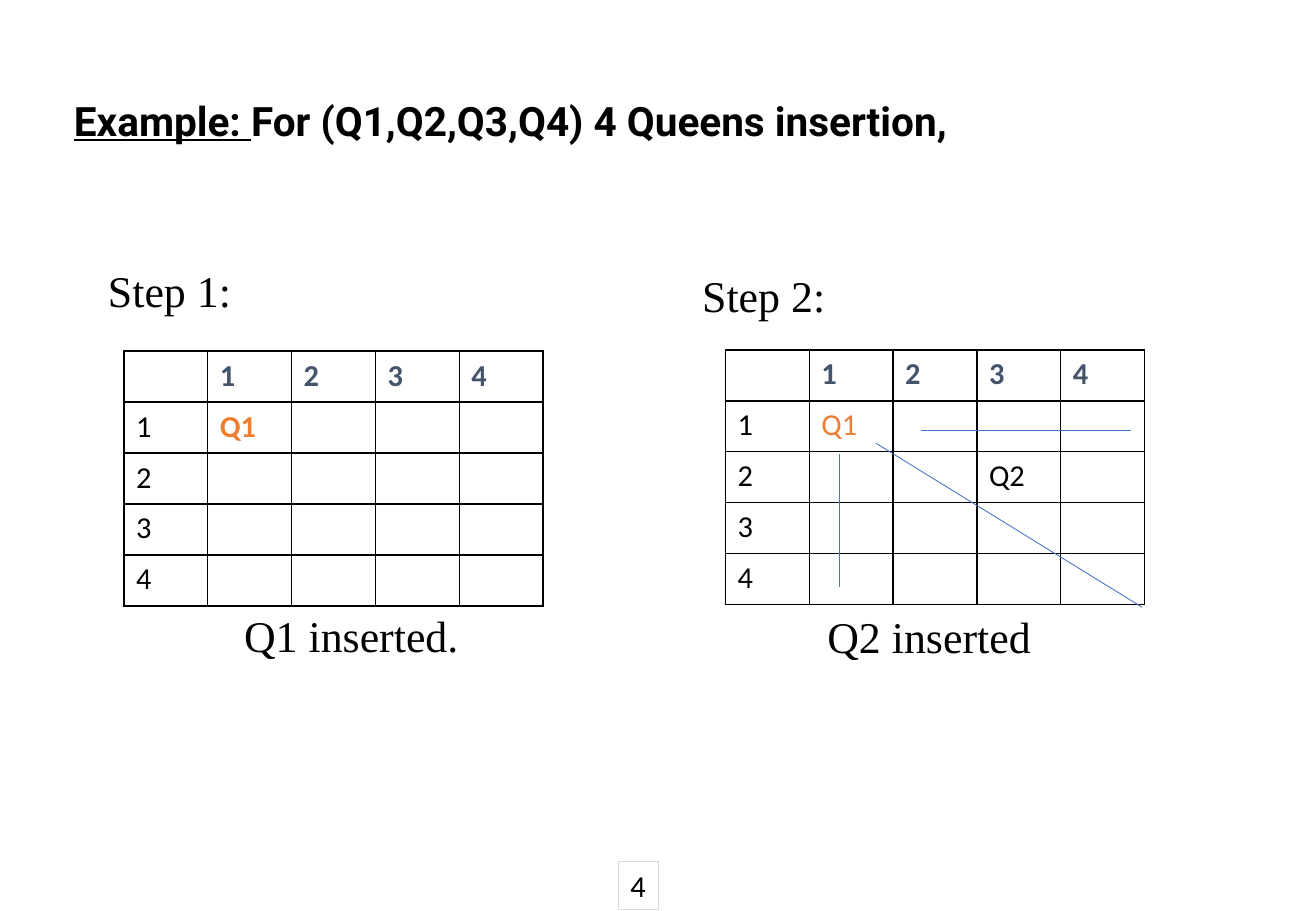
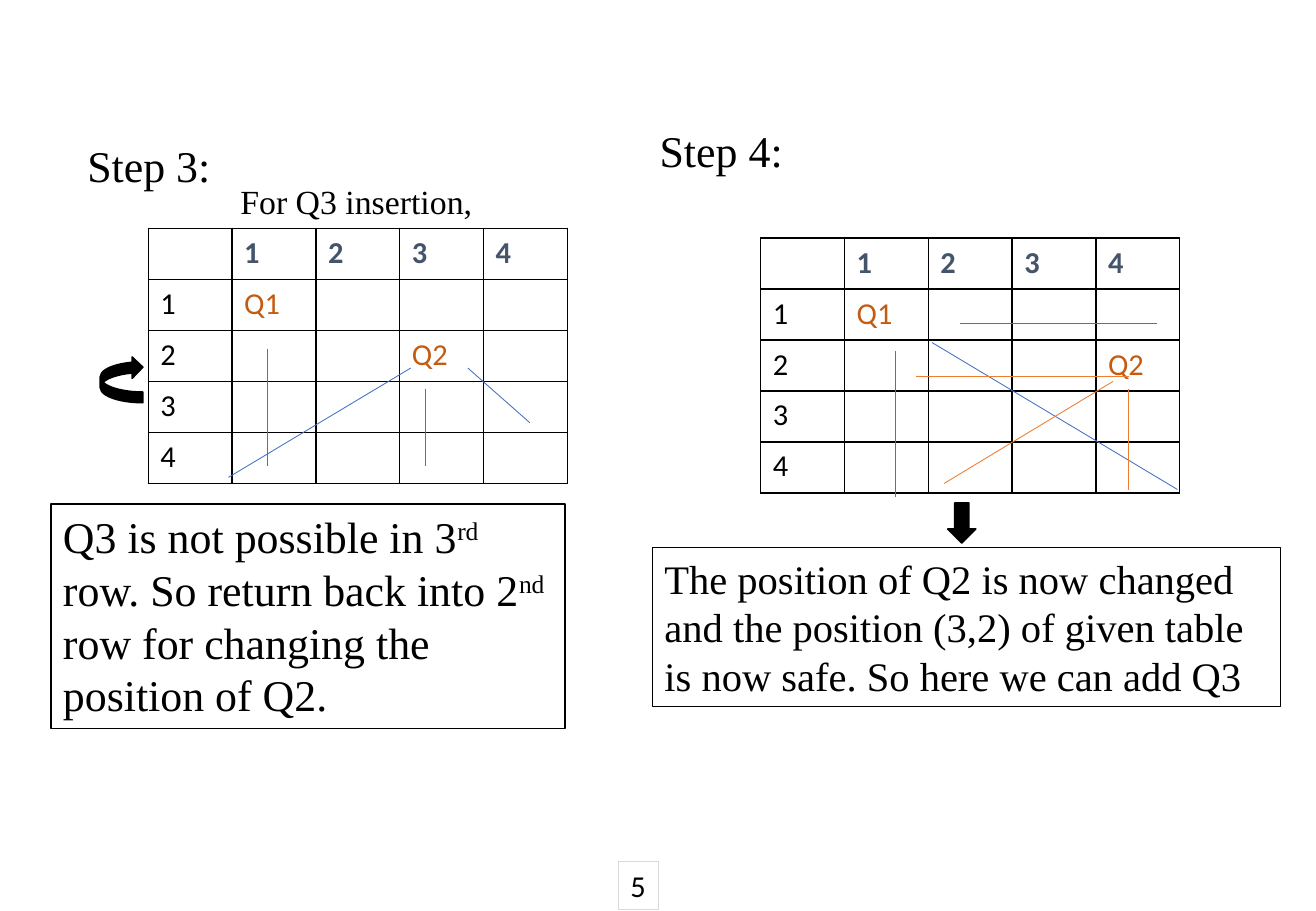
from dataclasses import dataclass

from lxml.etree import SubElement
from pptx import Presentation
from pptx.dml.color import RGBColor
from pptx.enum.shapes import MSO_CONNECTOR as Connector, MSO_SHAPE as Preset
from pptx.enum.text import MSO_ANCHOR as Anchor, MSO_AUTO_SIZE as AutoSize
from pptx.oxml.ns import qn
from pptx.util import Inches, Pt


@dataclass(frozen=True)
class Theme:
    """Colours, fonts and type sizes shared by all slides."""
    black: str = "000000"
    white: str = "FFFFFF"
    heading: str = "44546A"
    orange: str = "ED7D31"
    rust: str = "C55A11"
    blue: str = "4472C4"
    grey: str = "D9D9D9"
    title_font: str = "Roboto"
    body_font: str = "Times New Roman"
    board_font: str = "Calibri"
    label_size: int = 26
    note_size: int = 24
    caption_size: int = 20
    board_size: int = 18
    queens: int = 4
    column_width: float = 0.69
    row_height: float = 0.42


class Deck:
    """Holds the presentation, its theme and the current slide."""

    def __init__(self, theme):
        """Start an empty presentation of the given style."""
        self.theme = theme
        self.presentation = Presentation()
        self.presentation.slide_width = Inches(10.83)
        self.presentation.slide_height = Inches(7.5)
        self.slide = None

    def new_slide(self, number):
        """Add a blank slide with its page number box."""
        theme = self.theme
        self.slide = self.presentation.slides.add_slide(self.presentation.slide_layouts[6])
        self.box((5.09, 7.09, 0.33, 0.4), [(str(number), {})], theme.board_size,
                 theme.board_font, theme.grey)

    def add_runs(self, frame, runs, size, font_name, color=None, **extra):
        """Fill a text frame's paragraph with formatted runs."""
        paragraph = frame.paragraphs[0]
        for text, changes in runs:
            run = paragraph.add_run()
            run.text = text
            run.font.color.rgb = RGBColor.from_string(color or self.theme.black)
            formats = {"size": Pt(size), "name": font_name, **extra, **changes}
            baseline = formats.pop("baseline", None)
            for name, value in formats.items():
                setattr(run.font, name, value)
            if baseline:
                run._r.get_or_add_rPr().set("baseline", str(baseline * 1000))

    def text(self, place, runs, size=None, font_name=None, wrap=False, **extra):
        """Add a plain text box and return it."""
        shape = self.slide.shapes.add_textbox(*map(Inches, place))
        frame = shape.text_frame
        frame.word_wrap = wrap
        frame.auto_size = AutoSize.SHAPE_TO_FIT_TEXT
        self.add_runs(frame, runs, size or self.theme.label_size,
                      font_name or self.theme.body_font, **extra)
        return shape

    def label(self, left, top, width, text):
        """Add a one-line step label."""
        self.text((left, top, width, 0.54), [(text, {})])

    def box(self, place, runs, size, font_name=None, line=None):
        """Add an outlined text box."""
        shape = self.text(place, runs, size, font_name, wrap=True)
        shape.line.color.rgb = RGBColor.from_string(line or self.theme.black)
        shape.line.width = Pt(0.75)

    def arrow(self, preset, place, rotation):
        """Add a solid block arrow."""
        shape = self.slide.shapes.add_shape(preset, *map(Inches, place))
        black = RGBColor.from_string(self.theme.black)
        shape.rotation = rotation
        shape.shadow.inherit = False
        shape.fill.solid()
        shape.fill.fore_color.rgb = black
        shape.line.color.rgb = black
        shape.line.width = Pt(1)

    def lines(self, color, *segments):
        """Draw thin attack lines in one colour."""
        for ends in segments:
            connector = self.slide.shapes.add_connector(Connector.STRAIGHT, *map(Inches, ends))
            connector.line.color.rgb = RGBColor.from_string(color)
            connector.line.width = Pt(0.5)
            SubElement(connector._element.spPr, qn("a:effectLst"))

    def board(self, left, top, queens):
        """Add a numbered board with queens keyed by row and column."""
        theme = self.theme
        count = theme.queens + 1
        table = self.slide.shapes.add_table(
            count, count, Inches(left), Inches(top),
            Inches(count * theme.column_width), Inches(count * theme.row_height)).table
        table.first_row = table.horz_banding = False
        for column in table.columns:
            column.width = Inches(theme.column_width)
        content = dict(queens)
        for number in range(1, count):
            content[0, number] = (str(number), theme.heading, True)
            content[number, 0] = (str(number), theme.black, False)
        for row_index, row in enumerate(table.rows):
            row.height = Inches(theme.row_height)
            for column_index, cell in enumerate(row.cells):
                self.style_cell(cell)
                text, color, bold = content.get((row_index, column_index), ("", None, False))
                if text:
                    self.add_runs(cell.text_frame, [(text, {})], theme.board_size,
                                  theme.board_font, color, bold=bold)

    def style_cell(self, cell):
        """Give a cell black borders and a white fill."""
        properties = cell._tc.get_or_add_tcPr()
        for side in ("L", "R", "T", "B"):
            border = SubElement(properties, qn(f"a:ln{side}"), w=str(Pt(1)))
            fill = SubElement(border, qn("a:solidFill"))
            SubElement(fill, qn("a:srgbClr"), val=self.theme.black)
        cell.fill.solid()
        cell.fill.fore_color.rgb = RGBColor.from_string(self.theme.white)
        cell.vertical_anchor = Anchor.TOP


def add_first_steps(deck):
    """Build the slide that inserts the first two queens."""
    theme = deck.theme
    deck.new_slide(4)
    deck.text((0.51, 0.74, 8.41, 0.5),
              [("Example: ", {"underline": True}),
               ("For (Q1,Q2,Q3,Q4) 4 Queens insertion,", {})],
              theme.note_size, theme.title_font, bold=True)
    deck.board(1.02, 2.89, {(1, 1): ("Q1", theme.orange, True)})
    deck.board(5.97, 2.88, {(1, 1): ("Q1", theme.orange, False),
                            (2, 3): ("Q2", theme.black, False)})
    deck.lines(theme.blue, (7.21, 3.65, 9.4, 5), (6.91, 3.74, 6.91, 4.83),
               (7.58, 3.54, 9.31, 3.54))
    deck.label(0.79, 2.12, 1.23, "Step 1:")
    deck.label(5.68, 2.16, 1.23, "Step 2:")
    deck.label(1.91, 4.96, 1.98, "Q1 inserted.")
    deck.label(6.71, 4.97, 1.89, "Q2 inserted")


def add_backtracking(deck):
    """Build the slide that moves the second queen."""
    theme = deck.theme
    first_queen = {(1, 1): ("Q1", theme.rust, False)}
    second_queen = ("Q2", theme.rust, False)
    raised = {"baseline": 30}
    deck.new_slide(5)
    deck.board(1.22, 1.88, {**first_queen, (2, 3): second_queen})
    deck.lines(theme.blue, (2.2, 2.87, 2.2, 3.84), (3.38, 3.03, 1.88, 3.93),
               (3.5, 3.2, 3.5, 3.84), (3.85, 3.03, 4.36, 3.48))
    deck.box((0.42, 4.15, 4.23, 1.85),
             [("Q3 is not possible in 3", {}), ("rd", raised),
              (" row. So return back into 2", {}), ("nd", raised),
              (" row for changing the position of Q2.", {})], theme.label_size)
    deck.arrow(Preset.CURVED_DOWN_ARROW, (0.81, 2.95, 0.38, 0.35), 270)
    deck.board(6.26, 1.96, {**first_queen, (2, 4): second_queen})
    deck.lines(theme.blue, (7.67, 2.82, 9.69, 4.03), (7.37, 2.89, 7.37, 4.09),
               (7.9, 2.66, 9.52, 2.66))
    deck.lines(theme.orange, (9.29, 3.2, 9.29, 4.03), (7.54, 3.1, 9.29, 3.1),
               (9.16, 3.14, 7.77, 3.98))
    deck.box((5.37, 4.51, 5.17, 1.31),
             [("The position of Q2 is now changed and the position (3,2) of given table "
               "is now safe. So here we can add Q3", {})], theme.note_size)
    deck.text((1.88, 1.44, 3.43, 0.44), [("For Q3 insertion,", {})],
              theme.caption_size, wrap=True)
    deck.label(0.62, 1.09, 1.23, "Step 3:")
    deck.label(5.33, 0.97, 1.23, "Step 4:")
    deck.arrow(Preset.RIGHT_ARROW, (7.75, 4.19, 0.33, 0.23), 90)


def main():
    """Build both slides and save them."""
    deck = Deck(Theme())
    add_first_steps(deck)
    add_backtracking(deck)
    deck.presentation.save("out.pptx")


if __name__ == "__main__":
    main()
